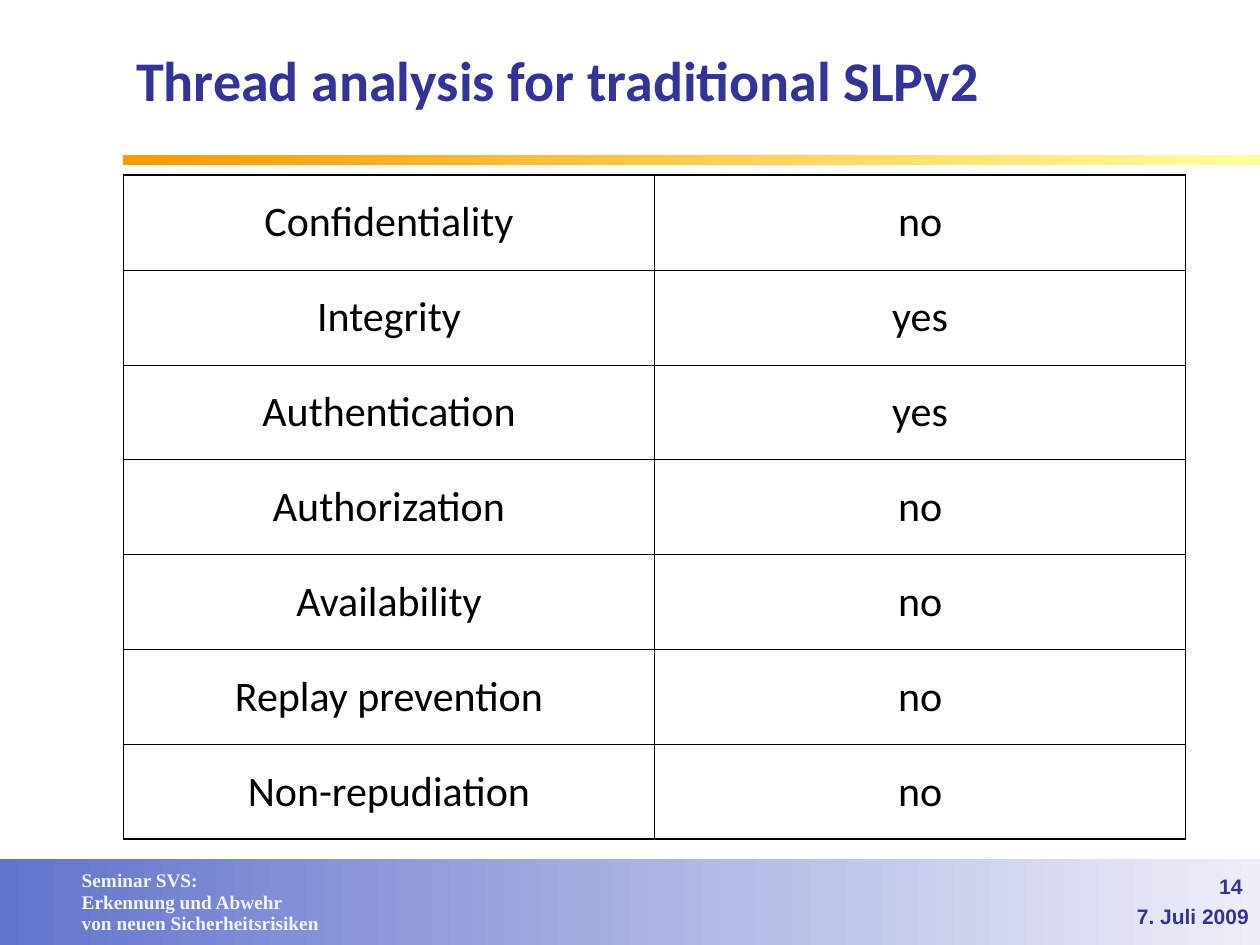
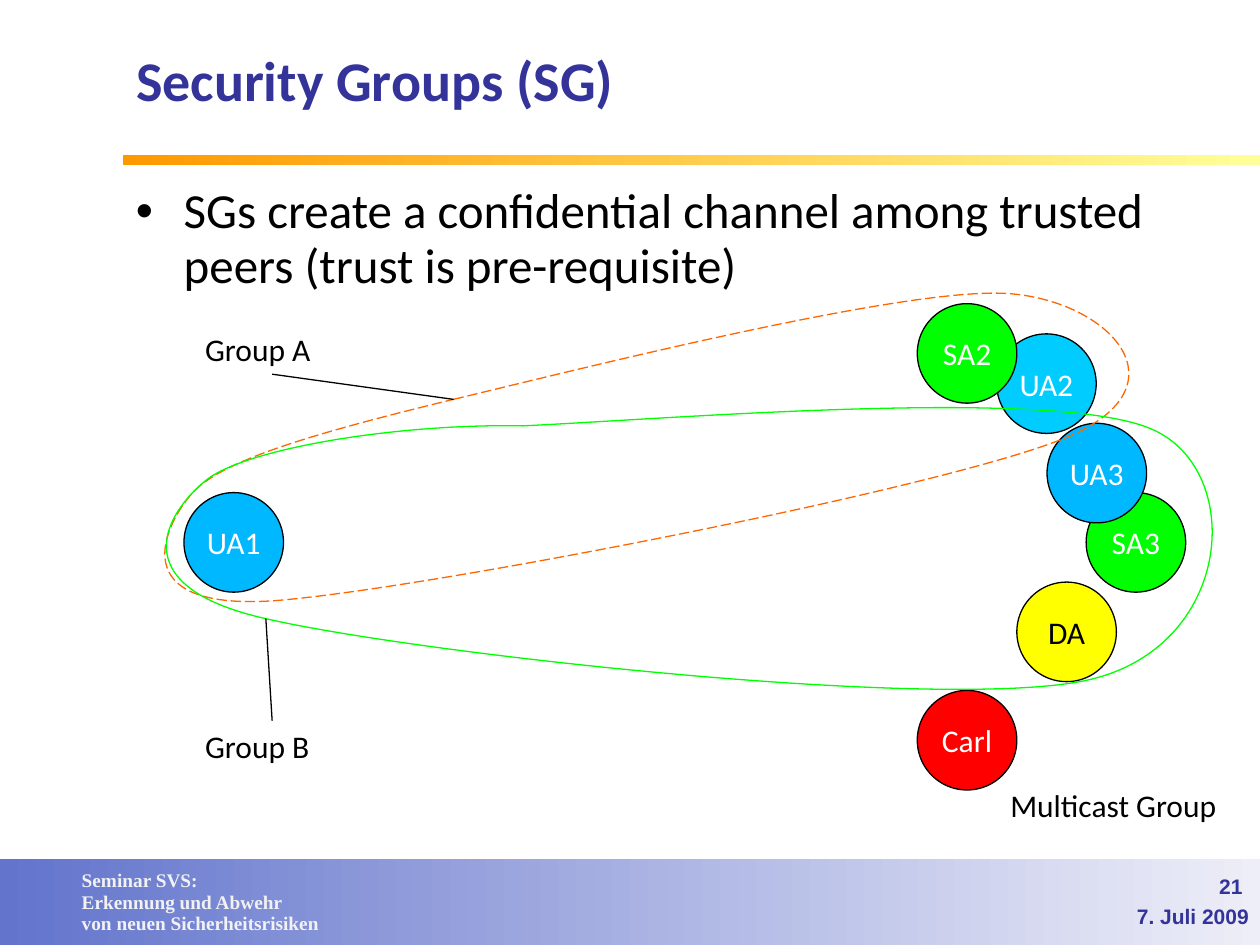
from lxml import etree
from pptx import Presentation
from pptx.dml.color import RGBColor
from pptx.enum.dml import MSO_LINE
from pptx.enum.shapes import MSO_CONNECTOR, MSO_SHAPE
from pptx.enum.text import MSO_ANCHOR, PP_ALIGN
from pptx.oxml.ns import qn
from pptx.util import Inches, Pt

RECT, OVAL = MSO_SHAPE.RECTANGLE, MSO_SHAPE.OVAL
STRAIGHT = MSO_CONNECTOR.STRAIGHT
LEFT, CENTER, RIGHT = PP_ALIGN.LEFT, PP_ALIGN.CENTER, PP_ALIGN.RIGHT
TOP, MIDDLE = MSO_ANCHOR.TOP, MSO_ANCHOR.MIDDLE
LONG_DASH = MSO_LINE.LONG_DASH
SIDE_TOP, SIDE_BOTTOM = 0, 2

NAVY, BLACK, WHITE, PALE = "333399", "000000", "FFFFFF", "F2F2F2"
GREEN, BLUE, SKY, RED, YELLOW = "00FF00", "00B8FF", "00CCFF", "FF0000", "FFFF00"
ORANGE = "FF6600"
TITLE = {"size": Pt(32), "name": "Calibri", "bold": True, "color": NAVY}
BODY = {"size": Pt(28), "name": "Calibri", "color": BLACK}
CELL = {"size": Pt(24), "name": "Calibri", "color": BLACK}
LABEL = {"size": Pt(18), "name": "Calibri", "color": BLACK}
SEMINAR = {"size": Pt(11), "name": "Times New Roman", "bold": True, "color": PALE}
FOOTER = {"size": Pt(12), "name": "Arial", "bold": True, "color": NAVY}

LEFT_EDGE = 0.98
THREATS = [
    ("Confidentiality", "no"),
    ("Integrity", "yes"),
    ("Authentication", "yes"),
    ("Authorization", "no"),
    ("Availability", "no"),
    ("Replay prevention", "no"),
    ("Non-repudiation", "no"),
]

# Positions below are inches from the corner of the diagram box.
PEER_SIZE = 0.79
PEERS = [
    ("SA3", 7.62, 1.91, GREEN, WHITE),
    ("UA1", 0.46, 1.91, BLUE, WHITE),
    ("UA3", 7.31, 1.36, BLUE, WHITE),
    ("UA2", 6.91, 0.65, SKY, WHITE),
    ("SA2", 6.28, 0.41, GREEN, WHITE),
    ("Carl", 6.28, 3.48, RED, WHITE),
    ("DA", 7.07, 2.62, YELLOW, BLACK),
]
# Each outline is a start point, then two controls and an end per curve.
GROUP_A = [
    (2.6, 1.17), (3.68, 0.91), (6.18, 0.28), (6.99, 0.33),
    (7.8, 0.38), (8.44, 1.06), (7.47, 1.47),
    (6.49, 1.88), (2.3, 2.69), (1.15, 2.77),
    (-0.01, 2.84), (0.29, 2.18), (0.53, 1.91),
    (0.77, 1.65), (1.49, 1.44), (2.6, 1.17),
]
GROUP_B = [
    (3.15, 1.38), (4.4, 1.32), (7.4, 1.07), (8.15, 1.41),
    (8.89, 1.74), (8.79, 3.15), (7.62, 3.4),
    (6.44, 3.65), (2.27, 3.18), (1.11, 2.91),
    (-0.05, 2.65), (0.32, 2.06), (0.65, 1.8),
    (0.99, 1.55), (2.19, 1.36), (3.15, 1.38),
]


def rgb(value):
    return RGBColor.from_string(value)


def inches(*values):
    return [Inches(value) for value in values]


def write(frame, lines, style, align=LEFT, anchor=TOP, spacing=None, wrap=True, top=0.05):
    """Fill a text frame with equally formatted paragraphs."""
    margins = {"margin_left": 0.1, "margin_right": 0.1, "margin_top": top, "margin_bottom": 0.05}
    for side, value in margins.items():
        setattr(frame, side, Inches(value))
    frame.word_wrap = wrap
    frame.vertical_anchor = anchor
    for index, line in enumerate(lines):
        paragraph = frame.add_paragraph() if index else frame.paragraphs[0]
        paragraph.alignment = align
        paragraph.line_spacing = spacing
        run = paragraph.add_run()
        run.text = line
        for key, value in style.items():
            if key == "color":
                run.font.color.rgb = rgb(value)
            else:
                setattr(run.font, key, value)


def add_text(slide, box, lines, style, **layout):
    textbox = slide.shapes.add_textbox(*inches(*box))
    write(textbox.text_frame, lines, style, **layout)
    return textbox


def add_band(slide, box, left_color, right_color):
    band = slide.shapes.add_shape(RECT, *inches(*box))
    band.shadow.inherit = False
    band.line.fill.background()
    band.fill.gradient()
    band.fill.gradient_angle = 180
    for stop, color in zip(band.fill.gradient_stops, (right_color, left_color)):
        stop.color.rgb = rgb(color)


def add_footer(slide, box, number):
    left, top, width, height = box
    add_band(slide, box, "6274CC", "EEEEF8")
    add_text(slide, (left + 0.55, top + 0.03, 2.08, height - 0.06),
             ["Seminar SVS:", "Erkennung und Abwehr", "von neuen Sicherheitsrisiken"],
             SEMINAR, spacing=0.93, wrap=False, top=0.06)
    right = left + width
    add_text(slide, (right - 2.12, top + 0.08, 2.08, 0.3), [number],
             FOOTER, align=RIGHT, spacing=0.93)
    add_text(slide, (right - 2.01, top + 0.32, 2.02, 0.3), ["7. Juli 2009"],
             FOOTER, align=RIGHT, spacing=0.93)


def add_titled_slide(deck, heading, number):
    slide = deck.slides.add_slide(deck.slide_layouts[5])
    title = slide.shapes.title
    title.left, title.top, title.width, title.height = inches(LEFT_EDGE, 0.13, 8.53, 1.02)
    write(title.text_frame, [heading], TITLE, anchor=MIDDLE, spacing=0.93, top=0.08)
    add_footer(slide, (0, 6.82, 10, 0.68), number)
    add_band(slide, (LEFT_EDGE, 1.23, 9.02, 0.08), "FF9900", "FFFF99")
    return slide


def set_borders(cell, widths):
    properties = cell._tc.get_or_add_tcPr()
    for side, width in widths.items():
        line = etree.SubElement(properties, qn(f"a:ln{side}"), w=str(Pt(width)))
        fill = etree.SubElement(line, qn("a:solidFill"))
        etree.SubElement(fill, qn("a:srgbClr"), val=BLACK)


def add_threat_table(slide, box, rows):
    outer, inner = 1.08, 0.45
    table = slide.shapes.add_table(len(rows), 2, *inches(*box)).table
    table.first_row = table.horz_banding = False
    last = len(rows) - 1
    for r, row in enumerate(rows):
        for c, entry in enumerate(row):
            cell = table.cell(r, c)
            set_borders(cell, {
                "L": inner if c else outer,
                "R": outer if c else inner,
                "T": inner if r else outer,
                "B": outer if r == last else inner,
            })
            cell.fill.background()
            cell.vertical_anchor = MIDDLE
            write(cell.text_frame, [entry], CELL, align=CENTER, anchor=MIDDLE, spacing=0.93)


def add_bullet(slide, box, sentence):
    textbox = add_text(slide, box, [sentence], BODY, spacing=0.93, top=0.08)
    properties = textbox.text_frame.paragraphs[0]._p.get_or_add_pPr()
    properties.set("marL", str(Inches(0.38)))
    properties.set("indent", str(-Inches(0.38)))
    etree.SubElement(properties, qn("a:buFont"), typeface="Arial")
    etree.SubElement(properties, qn("a:buChar"), char="•")


def add_peer(slide, left, top, name, fill, text_color):
    peer = slide.shapes.add_shape(OVAL, *inches(left, top, PEER_SIZE, PEER_SIZE))
    peer.shadow.inherit = False
    peer.fill.solid()
    peer.fill.fore_color.rgb = rgb(fill)
    peer.line.color.rgb = rgb(BLACK)
    peer.line.width = Pt(0.75)
    write(peer.text_frame, [name], {**LABEL, "color": text_color},
          align=CENTER, anchor=MIDDLE, wrap=False)


def bend_segments(outline):
    """Turn every three line segments of a freeform into one cubic curve."""
    segments = list(outline._element.iter(qn("a:lnTo")))
    for first in range(0, len(segments), 3):
        curve = etree.Element(qn("a:cubicBezTo"))
        segments[first].addprevious(curve)
        for segment in segments[first:first + 3]:
            curve.append(segment[0])
            segment.getparent().remove(segment)


def add_group_outline(slide, left, top, points, color, dash=None):
    start, *rest = [inches(left + x, top + y) for x, y in points]
    builder = slide.shapes.build_freeform(*start)
    builder.add_line_segments(rest, close=True)
    outline = builder.convert_to_shape()
    bend_segments(outline)
    outline.shadow.inherit = False
    outline.fill.background()
    outline.line.color.rgb = rgb(color)
    outline.line.width = Pt(0.75)
    outline.line.dash_style = dash


def add_group_label(slide, left, top, name, side, target):
    """Add a group name and a line from one of its sides to the outline."""
    label = add_text(slide, (left, top, 1.26, 0.4), [name], LABEL)
    end = inches(*target)
    leader = slide.shapes.add_connector(STRAIGHT, *end, *end)
    leader.begin_connect(label, side)
    leader.line.color.rgb = rgb(BLACK)
    leader.line.width = Pt(0.75)
    etree.SubElement(leader._element.spPr, qn("a:effectLst"))


def add_group_diagram(slide, left, top):
    for name, x, y, fill, text_color in PEERS:
        add_peer(slide, left + x, top + y, name, fill, text_color)
    add_text(slide, (left + 6.92, top + 4.19, 1.84, 0.4), ["Multicast Group"],
             LABEL, wrap=False)
    add_group_outline(slide, left, top, GROUP_A, ORANGE, LONG_DASH)
    add_group_label(slide, left + 0.53, top + 0.57, "Group A", SIDE_BOTTOM,
                    (left + 2.6, top + 1.17))
    add_group_outline(slide, left, top, GROUP_B, GREEN)
    add_group_label(slide, left + 0.53, top + 3.72, "Group B", SIDE_TOP,
                    (left + 1.11, top + 2.91))


def main():
    deck = Presentation()
    deck.slide_width, deck.slide_height = inches(10, 7.5)

    analysis = add_titled_slide(deck, "Thread analysis for traditional SLPv2", "14")
    add_threat_table(analysis, (LEFT_EDGE, 1.39, 8.43, 5.27), THREATS)

    groups = add_titled_slide(deck, "Security Groups (SG)", "21")
    add_bullet(groups, (LEFT_EDGE, 1.39, 8.52, 1.02),
               "SGs create a confidential channel among trusted peers (trust is pre-requisite)")
    add_group_diagram(groups, 1, 2)

    deck.save("out.pptx")


if __name__ == "__main__":
    main()
